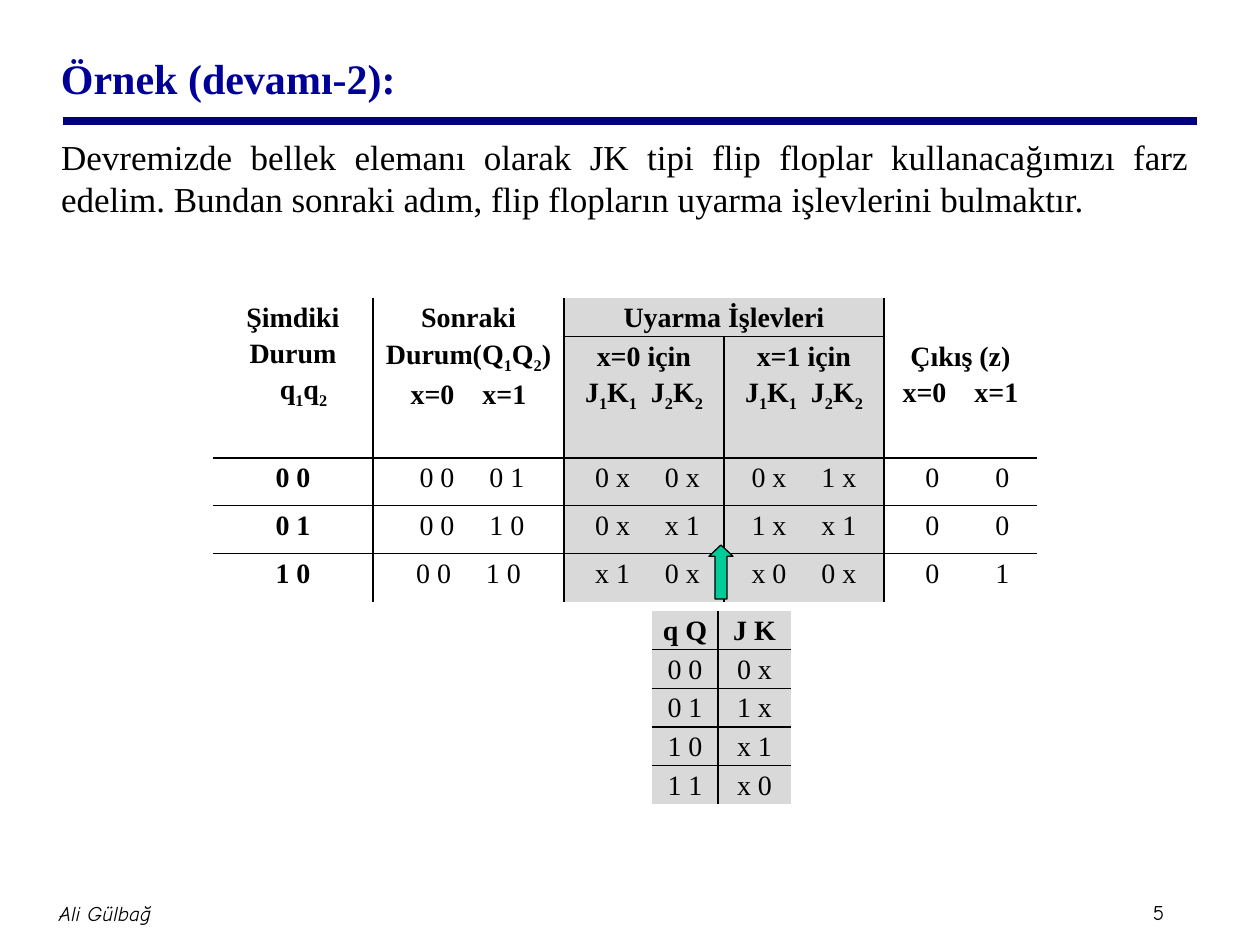
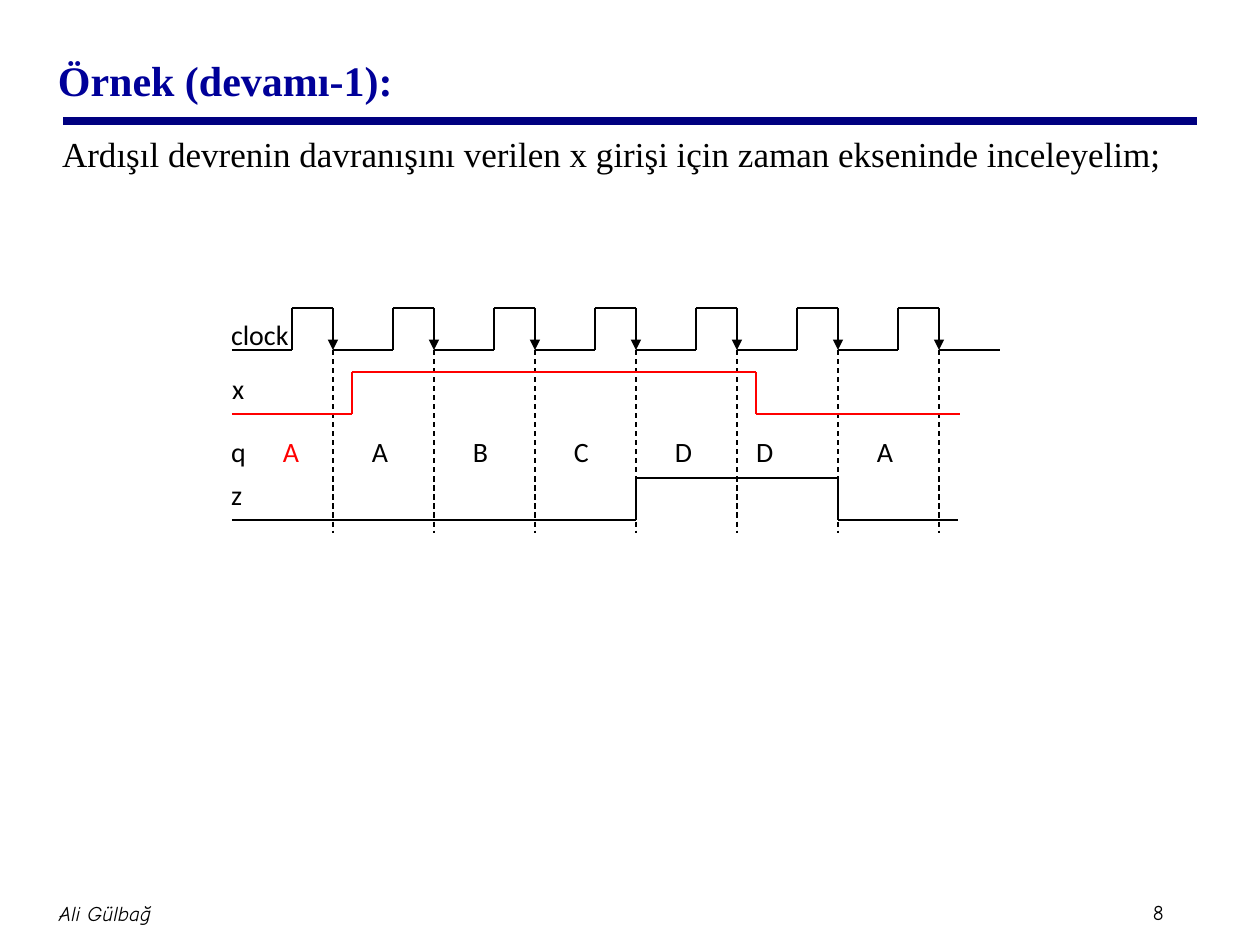
from dataclasses import dataclass

from lxml import etree
from pptx import Presentation
from pptx.dml.color import RGBColor
from pptx.enum.dml import MSO_LINE
from pptx.enum.shapes import MSO_CONNECTOR, MSO_SHAPE
from pptx.enum.text import MSO_ANCHOR, PP_ALIGN
from pptx.oxml.ns import qn
from pptx.util import Pt

STRAIGHT = MSO_CONNECTOR.STRAIGHT
DOWN_ARROW = MSO_SHAPE.DOWN_ARROW
DASH = MSO_LINE.DASH
TOP, MIDDLE = MSO_ANCHOR.TOP, MSO_ANCHOR.MIDDLE
LEFT, CENTER, JUSTIFY = PP_ALIGN.LEFT, PP_ALIGN.CENTER, PP_ALIGN.JUSTIFY

EMU_PER_PX = 914400 / 126


@dataclass(frozen=True)
class Theme:
    black: str = "000000"
    title: str = "000099"
    band: str = "000080"
    shade: str = "D9D9D9"
    arrow: str = "00CC99"
    signal: str = "FF0000"
    serif: str = "Times New Roman"
    sans: str = "Calibri"
    footer: str = "Comic Neue"
    title_size: int = 24
    body_size: int = 20
    label_size: int = 16
    footer_size: int = 12
    thin: float = 0.75
    grid: float = 1
    band_width: float = 4.5


THEME = Theme()


def px(length):
    return round(length * EMU_PER_PX)


def rgb(color):
    return RGBColor.from_string(color)


def format_run(run, font, size, color=THEME.black, bold=False, italic=False):
    run.font.name = font
    run.font.size = Pt(size)
    run.font.color.rgb = rgb(color)
    run.font.bold = bold
    run.font.italic = italic


def add_text(slide, text, box, font, size, color=THEME.black, bold=False, italic=False,
             align=LEFT, anchor=TOP, insets=(0, 0), space_before=0):
    shape = slide.shapes.add_textbox(*map(px, box))
    frame = shape.text_frame
    frame.word_wrap = True
    frame.vertical_anchor = anchor
    frame.margin_left = frame.margin_right = px(insets[0])
    frame.margin_top = frame.margin_bottom = px(insets[1])
    frame.text = text
    paragraph = frame.paragraphs[0]
    paragraph.alignment = align
    paragraph.space_before = Pt(space_before)
    format_run(paragraph.runs[0], font, size, color, bold, italic)


def add_line(slide, start, end, color=THEME.black, width=THEME.thin, dash=None, arrow=False):
    connector = slide.shapes.add_connector(STRAIGHT, *map(px, (*start, *end)))
    connector.line.color.rgb = rgb(color)
    connector.line.width = Pt(width)
    if dash:
        connector.line.dash_style = dash
    properties = connector.element.spPr
    if arrow:
        etree.SubElement(properties.find(qn("a:ln")), qn("a:tailEnd"), type="triangle")
    etree.SubElement(properties, qn("a:effectLst"))


def add_trace(slide, points, color=THEME.black):
    for start, end in zip(points, points[1:]):
        add_line(slide, start, end, color)


def add_page(presentation, title, title_at, body, body_at, number):
    slide = presentation.slides.add_slide(presentation.slide_layouts[6])
    add_line(slide, (63, 121), (1197, 121), THEME.band, THEME.band_width)
    add_text(slide, number, (1147, 893, 59, 38), THEME.footer, THEME.footer_size,
             anchor=MIDDLE, insets=(6, 6))
    add_text(slide, "Ali Gülbağ", (5, 882, 200, 63), THEME.footer, THEME.footer_size,
             italic=True, align=CENTER, anchor=MIDDLE, insets=(6, 6))
    add_text(slide, title, (*title_at, 1071, 108), THEME.serif, THEME.title_size,
             THEME.title, bold=True, anchor=MIDDLE, insets=(13, 6))
    add_text(slide, body, (*body_at, 1154, 699), THEME.serif, THEME.body_size,
             align=JUSTIFY, insets=(13, 6), space_before=4)
    return slide


def write_line(paragraph, line, bold, gap):
    def add(text):
        run = paragraph.add_run()
        run.text = text
        format_run(run, THEME.serif, THEME.label_size, bold=bold)
        return run.font._element

    paragraph.alignment = CENTER
    paragraph.line_spacing = 1.15
    for part_index, part in enumerate(line.split("~")):
        if part_index:
            add(" ").set("spc", str(gap * 100))
        for piece_index, piece in enumerate(part.split("_")):
            if piece_index:
                add(piece[0]).set("baseline", "-25000")
                piece = piece[1:]
            if piece:
                add(piece)


def write_cell(cell, text, bold=False, gap=0, shift=0):
    frame = cell.text_frame
    cell.margin_left = px(9 + shift)
    for index, line in enumerate(text.split("\n")):
        paragraph = frame.add_paragraph() if index else frame.paragraphs[0]
        write_line(paragraph, line, bold, gap)


def set_border(cell, side, visible):
    line = etree.SubElement(cell._tc.get_or_add_tcPr(), qn(f"a:ln{side}"), w=str(Pt(THEME.grid)))
    if visible:
        fill = etree.SubElement(line, qn("a:solidFill"))
        etree.SubElement(fill, qn("a:srgbClr"), val=THEME.black)
    else:
        etree.SubElement(line, qn("a:noFill"))


def add_grid(slide, left, top, widths, heights, regions, shaded, merges=()):
    shape = slide.shapes.add_table(len(heights), len(widths), px(left), px(top),
                                   px(sum(widths)), px(sum(heights)))
    table = shape.table
    table.first_row = table.horz_banding = False
    for column, width in zip(table.columns, widths):
        column.width = px(width)
    for row, height in zip(table.rows, heights):
        row.height = px(height)
    for first, last in merges:
        table.cell(*first).merge(table.cell(*last))

    for row in range(len(heights)):
        for column in range(len(widths)):
            cell = table.cell(row, column)
            cell.margin_left = cell.margin_right = px(9)
            cell.margin_top = cell.margin_bottom = 0
            cell.text_frame.paragraphs[0].line_spacing = Pt(THEME.label_size)
            neighbours = {
                "L": (row, column - 1),
                "R": (row, column + cell.span_width if cell.is_merge_origin else column + 1),
                "T": (row - 1, column),
                "B": (row + cell.span_height if cell.is_merge_origin else row + 1, column),
            }
            for side, (near_row, near_column) in neighbours.items():
                inside = 0 <= near_row < len(heights) and 0 <= near_column < len(widths)
                visible = inside and regions[near_row][near_column] != regions[row][column]
                set_border(cell, side, visible)
            if column in shaded:
                cell.fill.solid()
                cell.fill.fore_color.rgb = rgb(THEME.shade)
            else:
                cell.fill.background()
    return table


def add_state_table(slide):
    regions = ["ABCCD", "ABEFD", "GHIJK", "LMNOP", "QRSTU"]
    merges = [((0, 0), (1, 0)), ((0, 1), (1, 1)), ((0, 2), (0, 3))]
    table = add_grid(slide, 213, 298, [160, 191, 160, 160, 153], [36, 112, 48, 48, 48],
                     regions, {2, 3}, merges)
    headings = [
        (0, 0, "Şimdiki Durum\nq_1q_2", 0),
        (0, 1, "Sonraki Durum(Q_1Q_2)\nx=0~x=1", 12),
        (0, 2, "Uyarma İşlevleri", 0),
        (1, 2, "x=0 için\nJ_1K_1~J_2K_2", 4),
        (1, 3, "x=1 için\nJ_1K_1~J_2K_2", 4),
        (1, 4, "Çıkış (z)\nx=0~x=1", 12),
    ]
    for row, column, text, gap in headings:
        write_cell(table.cell(row, column), text, bold=True, gap=gap)
    state_variables = table.cell(0, 0).text_frame.paragraphs[1]
    state_variables._p.get_or_add_pPr().set("marL", str(px(21)))

    states = [
        ("0 0", "0 0~0 1", "0 x~0 x", "0 x~1 x", "0~0"),
        ("0 1", "0 0~1 0", "0 x~x 1", "1 x~x 1", "0~0"),
        ("1 0", "0 0~1 0", "x 1~0 x", "x 0~0 x", "0~1"),
    ]
    gaps = (0, 16, 16, 16, 28)
    shifts = (0, 7, 7, 0, 14)
    for row, values in enumerate(states, start=2):
        for column, (text, gap, shift) in enumerate(zip(values, gaps, shifts)):
            write_cell(table.cell(row, column), text, column == 0, gap, shift)
    table.cell(4, 1).margin_left = px(9)


def add_excitation_table(slide):
    rows = [("q Q", "J K"), ("0 0", "0 x"), ("0 1", "1 x"), ("1 0", "x 1"), ("1 1", "x 0")]
    regions = ["AB", "CD", "EF", "GH", "IJ"]
    table = add_grid(slide, 652, 611, [66, 73], [36] * len(rows), regions, {0, 1})
    for row, values in enumerate(rows):
        for column, text in enumerate(values):
            write_cell(table.cell(row, column), text, bold=row == 0)


def add_up_arrow(slide):
    shape = slide.shapes.add_shape(DOWN_ARROW, *map(px, (709, 545, 24, 54)))
    shape.rotation = 180
    shape.adjustments[0] = 0.5
    shape.adjustments[1] = 0.47
    shape.shadow.inherit = False
    shape.fill.solid()
    shape.fill.fore_color.rgb = rgb(THEME.arrow)
    shape.line.color.rgb = rgb(THEME.black)
    shape.line.width = Pt(THEME.thin)


def add_timing_diagram(slide):
    start, period, pulse = 232, 101, 41
    clock_high, clock_low = 308, 350
    falls = [333 + period * index for index in range(7)]

    low_start = start
    for fall in falls:
        rise = fall - pulse
        add_trace(slide, [(low_start, clock_low), (rise, clock_low),
                          (rise, clock_high), (fall, clock_high)])
        add_line(slide, (fall, clock_high), (fall, clock_low), arrow=True)
        add_line(slide, (fall, clock_low), (fall, 533), dash=DASH)
        low_start = fall
    add_line(slide, (low_start, clock_low), (1000, clock_low))

    add_trace(slide, [(start, 414), (352, 414), (352, 372), (756, 372),
                      (756, 414), (960, 414)], THEME.signal)
    add_trace(slide, [(start, 520), (falls[3], 520), (falls[3], 478),
                      (falls[5], 478), (falls[5], 520), (958, 520)])

    state_top = 435
    labels = [("clock", 231, 318), ("x", 232, 372), ("q", 231, state_top), ("z", 231, 478)]
    labels += [(state, 372 + period * index, state_top) for index, state in enumerate("ABCD")]
    labels += [("D", 756, state_top), ("A", 877, state_top)]
    for text, left, top in labels:
        add_text(slide, text, (left, top, 81, 43), THEME.sans, THEME.label_size)
    add_text(slide, "A", (283, state_top, 40, 43), THEME.sans, THEME.label_size, THEME.signal)


def main():
    presentation = Presentation()
    presentation.slide_width = px(1260)
    presentation.slide_height = px(945)

    excitation = add_page(
        presentation, "Örnek (devamı-2):", (48, 24),
        "Devremizde bellek elemanı olarak JK tipi flip floplar kullanacağımızı farz edelim. "
        "Bundan sonraki adım, flip flopların uyarma işlevlerini bulmaktır.", (48, 129), "5")
    add_state_table(excitation)
    add_excitation_table(excitation)
    add_up_arrow(excitation)

    timing = add_page(
        presentation, "Örnek (devamı-1):", (45, 26),
        "Ardışıl devrenin davranışını verilen x girişi için zaman ekseninde inceleyelim;",
        (49, 126), "8")
    add_timing_diagram(timing)

    presentation.save("out.pptx")


if __name__ == "__main__":
    main()
